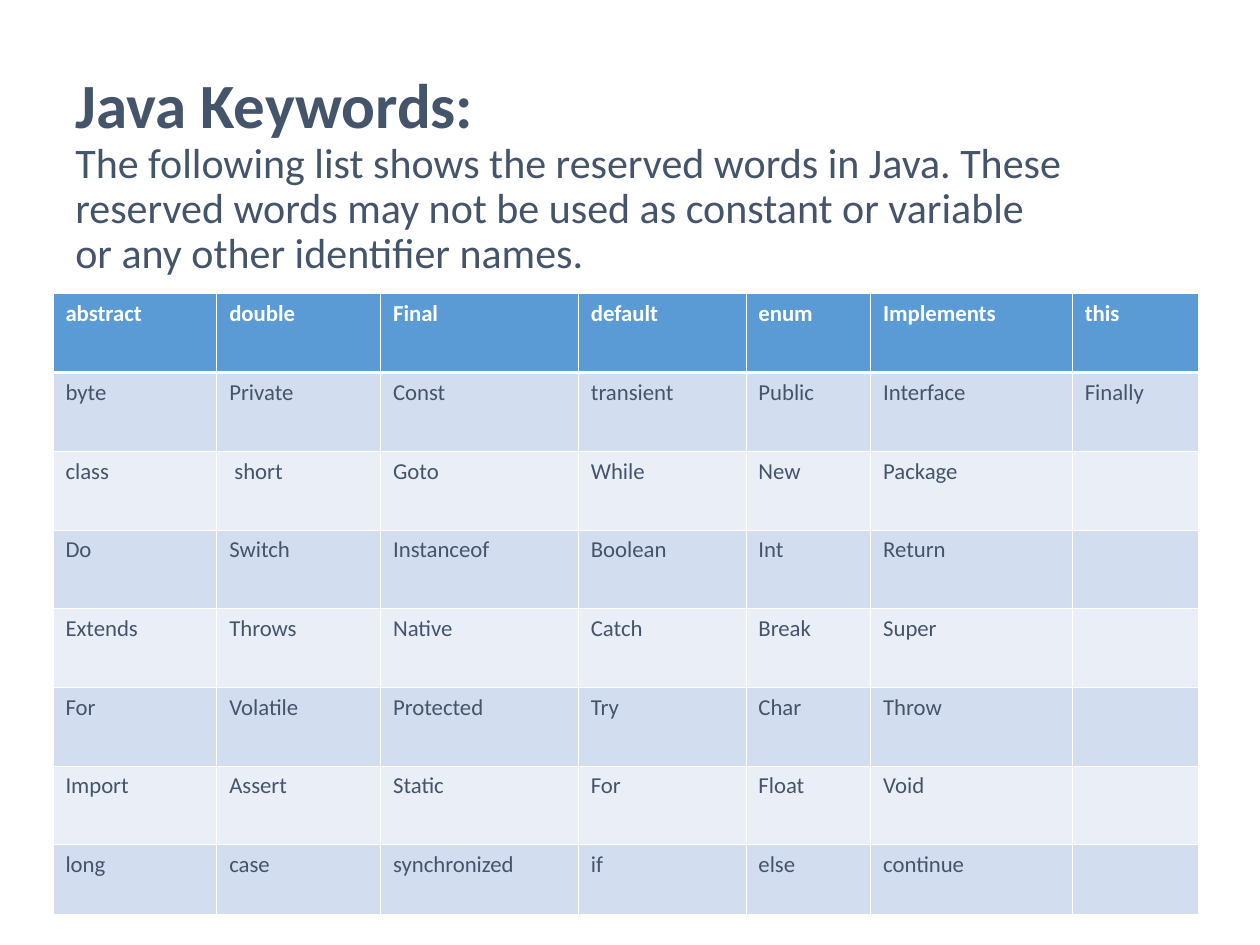
from lxml import etree
from pptx import Presentation, util as u
from pptx.dml import color
from pptx.enum import text
from pptx.oxml import ns

COLORS = {
    "white": "FFFFFF",
    "slate": "44546A",
    "header": "5B9BD5",
    "band": "D2DEEF",
    "light": "EAEFF7",
}
GRID_COLUMNS, GRID_ROWS = 10, 12
THIN, THICK = 0.45, 1.47

HEADING = "Java Keywords:"
INTRO = ("The following list shows the reserved words in Java. These reserved "
         "words may not be used as constant or variable\vor any other identifier names.")
KEYWORDS = [
    ["abstract", "double", "Final", "default", "enum", "Implements", "this"],
    ["byte", "Private", "Const", "transient", "Public", "Interface", "Finally"],
    ["class", " short", "Goto", "While", "New", "Package", ""],
    ["Do", "Switch", "Instanceof", "Boolean", "Int", "Return", ""],
    ["Extends", "Throws", "Native", "Catch", "Break", "Super", ""],
    ["For", "Volatile", "Protected", "Try", "Char", "Throw", ""],
    ["Import", "Assert", "Static", "For", "Float", "Void", ""],
    ["long", "case", "synchronized", "if", "else", "continue", ""],
]
COLUMN_WIDTHS = [1.3, 1.3, 1.57, 1.33, 0.99, 1.6, 1]
ROW_HEIGHTS = [1] * (len(KEYWORDS) - 1) + [0.88]


class SlideBuilder:
    """Holds the style and the current slide; lengths are grid units."""

    font = "Calibri"

    def __init__(self, presentation):
        self.column = presentation.slide_width / GRID_COLUMNS
        self.row = presentation.slide_height / GRID_ROWS
        self.slide = presentation.slides.add_slide(presentation.slide_layouts[6])

    def across(self, columns):
        return u.Emu(round(columns * self.column))

    def down(self, rows):
        return u.Emu(round(rows * self.row))

    def box(self, left, top, width, height):
        return self.across(left), self.down(top), self.across(width), self.down(height)

    def style(self, paragraph, size, color_name, bold=False):
        for run in paragraph.runs:
            run.font.name = self.font
            run.font.size = u.Pt(size)
            run.font.bold = bold
            run.font.color.rgb = color.RGBColor.from_string(COLORS[color_name])

    def text_block(self, box, lines):
        """Add a text box; each line is (wording, size, bold)."""
        frame = self.slide.shapes.add_textbox(*self.box(*box)).text_frame
        frame.word_wrap = True
        frame.vertical_anchor = text.MSO_ANCHOR.TOP
        for index, (wording, size, bold) in enumerate(lines):
            paragraph = frame.add_paragraph() if index else frame.paragraphs[0]
            paragraph.text = wording
            paragraph.line_spacing = 0.9
            self.style(paragraph, size, "slate", bold)

    def borders(self, cell, top, bottom):
        properties = cell._tc.get_or_add_tcPr()
        sides = {"lnL": THIN, "lnR": THIN, "lnT": top, "lnB": bottom}
        for index, (side, width) in enumerate(sides.items()):
            line = etree.Element(ns.qn(f"a:{side}"), w=str(u.Pt(width)))
            fill = etree.SubElement(line, ns.qn("a:solidFill"))
            etree.SubElement(fill, ns.qn("a:srgbClr"), val=COLORS["white"])
            properties.insert(index, line)

    def table(self, left, top, widths, heights, rows):
        box = self.box(left, top, sum(widths), sum(heights))
        table = self.slide.shapes.add_table(len(rows), len(widths), *box).table
        for column, width in zip(table.columns, widths):
            column.width = self.across(width)
        for row, height in zip(table.rows, heights):
            row.height = self.down(height)
        for r, words in enumerate(rows):
            header = r == 0
            fill_name = "header" if header else "band" if r % 2 else "light"
            for c, word in enumerate(words):
                cell = table.cell(r, c)
                cell.text = word
                self.style(cell.text_frame.paragraphs[0], 13,
                           "white" if header else "slate", header)
                cell.fill.solid()
                cell.fill.fore_color.rgb = color.RGBColor.from_string(COLORS[fill_name])
                self.borders(cell, top=THICK if r == 1 else THIN,
                             bottom=THICK if header else THIN)


def main():
    presentation = Presentation()
    presentation.slide_width, presentation.slide_height = u.Inches(10), u.Inches(7.5)
    builder = SlideBuilder(presentation)

    # Heading and introduction
    builder.text_block((0.5, 0.86, 9, 2.75), [(HEADING, 36, True), (INTRO, 24, False)])

    # Keyword table
    builder.table(0.42, 3.73, COLUMN_WIDTHS, ROW_HEIGHTS, KEYWORDS)

    presentation.save("out.pptx")


if __name__ == "__main__":
    main()
